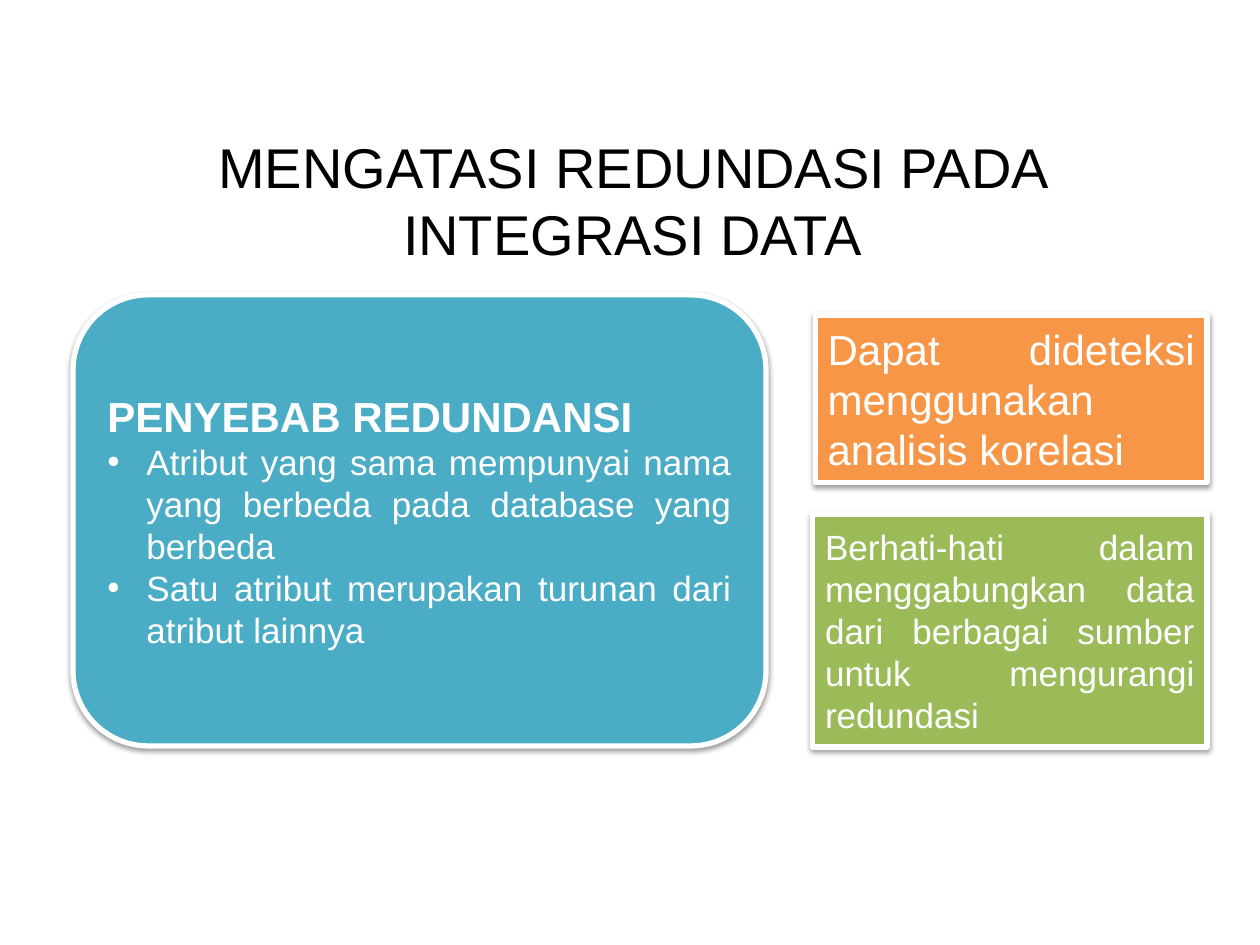
from lxml.etree import SubElement
from pptx import Presentation
from pptx.dml.color import RGBColor
from pptx.enum.shapes import MSO_SHAPE as Shape
from pptx.enum.text import MSO_ANCHOR as Anchor, MSO_AUTO_SIZE as AutoSize, PP_ALIGN as Align
from pptx.oxml.ns import qn
from pptx.util import Inches, Pt

BLACK = RGBColor(0x00, 0x00, 0x00)
WHITE = RGBColor(0xFF, 0xFF, 0xFF)
TEAL = RGBColor(0x4B, 0xAC, 0xC6)
ORANGE = RGBColor(0xF7, 0x96, 0x46)
GREEN = RGBColor(0x9B, 0xBB, 0x59)


def format_paragraph(paragraph, alignment, size, color, bold=False):
    paragraph.alignment = alignment
    for run in paragraph.runs:
        run.font.name = "Arial"
        run.font.size = Pt(size)
        run.font.bold = bold
        run.font.color.rgb = color


def add_shadow(shape):
    shape.shadow.inherit = False
    effects = shape._element.spPr.find(qn("a:effectLst"))
    shadow = SubElement(effects, qn("a:outerShdw"), blurRad=str(Pt(3.1)),
                        dist=str(Pt(1.6)), dir="5400000", rotWithShape="0")
    color = SubElement(shadow, qn("a:srgbClr"), val=str(BLACK))
    SubElement(color, qn("a:alpha"), val="38000")


presentation = Presentation()
presentation.slide_width = Inches(10)
presentation.slide_height = Inches(7.5)
slide = presentation.slides.add_slide(presentation.slide_layouts[5])

title = slide.shapes.title
title.left, title.top = Inches(0.52), Inches(1.21)
title.width, title.height = Inches(9), Inches(0.75)
title.text_frame.text = "MENGATASI REDUNDASI PADA INTEGRASI DATA"
title.text_frame.auto_size = AutoSize.NONE
title.text_frame.vertical_anchor = Anchor.MIDDLE
format_paragraph(title.text_frame.paragraphs[0], Align.CENTER, 32, BLACK)

cards = [
    (Shape.ROUNDED_RECTANGLE, (0.58, 2.34, 5.5, 3.58), TEAL, 24, "PENYEBAB REDUNDANSI", [
        "Atribut yang sama mempunyai nama yang berbeda pada database yang berbeda",
        "Satu atribut merupakan turunan dari atribut lainnya",
    ]),
    (Shape.RECTANGLE, (6.47, 2.5, 3.11, 1.33), ORANGE, 24,
     "Dapat dideteksi menggunakan analisis korelasi", []),
    (Shape.RECTANGLE, (6.45, 4.08, 3.13, 1.85), GREEN, 20,
     "Berhati-hati dalam menggabungkan data dari berbagai sumber untuk mengurangi redundasi", []),
]

for kind, box, fill, size, text, bullets in cards:
    card = slide.shapes.add_shape(kind, *map(Inches, box))
    card.fill.solid()
    card.fill.fore_color.rgb = fill
    card.line.color.rgb = WHITE
    card.line.width = Pt(3)
    add_shadow(card)

    text_frame = card.text_frame
    text_frame.word_wrap = True
    text_frame.vertical_anchor = Anchor.MIDDLE
    text_frame.text = text
    format_paragraph(text_frame.paragraphs[0], Align.JUSTIFY, size, WHITE, bold=bool(bullets))
    for bullet in bullets:
        paragraph = text_frame.add_paragraph()
        paragraph.text = bullet
        format_paragraph(paragraph, Align.JUSTIFY, 20, WHITE)
        properties = paragraph._p.get_or_add_pPr()
        properties.set("marL", str(Inches(0.31)))
        properties.set("indent", str(Inches(-0.31)))
        SubElement(properties, qn("a:buFont"), typeface="Arial")
        SubElement(properties, qn("a:buChar"), char="•")

presentation.save("out.pptx")
